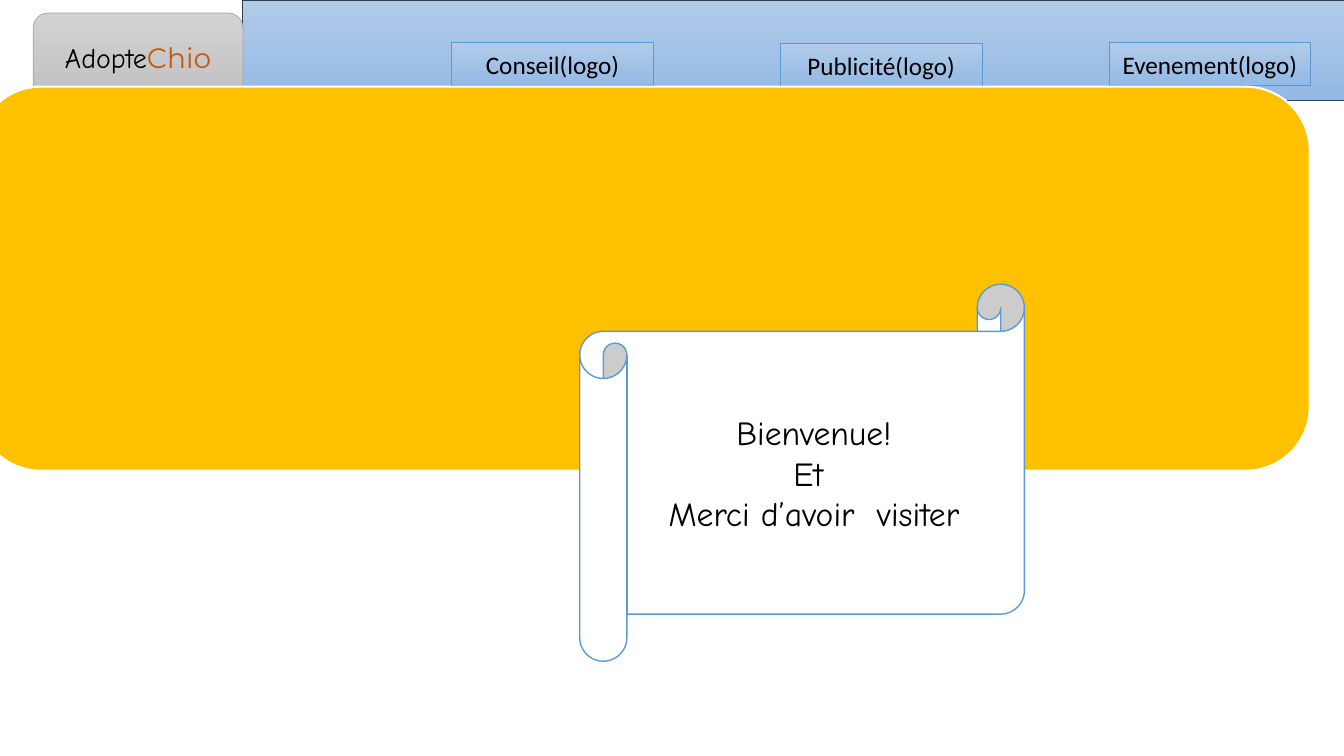
from pptx import Presentation
from pptx.dml.color import RGBColor
from pptx.enum import shapes, text
from pptx.util import Inches, Pt

COLORS = {
    "sky": "B1CBE9", "sky_deep": "93B9E4", "navy": "333F50", "blue": "5B9BD5",
    "silver": "D2D2D2", "silver_deep": "C0C0C0", "grey": "A5A5A5",
    "amber": "FFC000", "white": "FFFFFF", "black": "000000", "rust": "C55A11",
}
SKY = ("sky", "sky_deep")
SILVER = ("silver", "silver_deep")
SHAPE = shapes.MSO_SHAPE


def rgb(name):
    """Return the named colour."""
    return RGBColor.from_string(COLORS[name])


def add_panel(slide, preset, box, fill, outline, width):
    """Add a preset shape with one fill colour or a downward gradient."""
    panel = slide.shapes.add_shape(preset, *map(Inches, box))
    panel.shadow.inherit = False
    if len(fill) == 1:
        panel.fill.solid()
        panel.fill.fore_color.rgb = rgb(fill[0])
    else:
        panel.fill.gradient()
        panel.fill.gradient_angle = 270
        for stop, color in zip(panel.fill.gradient_stops, fill):
            stop.color.rgb = rgb(color)
    panel.line.color.rgb = rgb(outline)
    panel.line.width = Pt(width)
    return panel


def write(panel, lines, size):
    """Write centred lines made of (wording, font, colour) runs."""
    frame = panel.text_frame
    for name, value in {"word_wrap": True, "vertical_anchor": text.MSO_ANCHOR.MIDDLE}.items():
        setattr(frame, name, value)
    for index, line in enumerate(lines):
        paragraph = frame.add_paragraph() if index else frame.paragraphs[0]
        paragraph.alignment = text.PP_ALIGN.CENTER
        for wording, font, color in line:
            run = paragraph.add_run()
            run.text = wording
            for name, value in {"name": font, "size": Pt(size)}.items():
                setattr(run.font, name, value)
            run.font.color.rgb = rgb(color)


def add_menu(slide, box):
    """Draw the menu bar with its evenly spaced entries."""
    left, top, _, _ = box
    add_panel(slide, SHAPE.RECTANGLE, box, SKY, "navy", 0.5)
    entries = [("Conseil(logo)", 0.42), ("Publicité(logo)", 0.43), ("Evenement(logo)", 0.42)]
    for index, (label, drop) in enumerate(entries):
        entry_box = (left + 2.08 + 3.26 * index, top + drop, 2, 0.43)
        entry = add_panel(slide, SHAPE.RECTANGLE, entry_box, SKY, "blue", 0.5)
        write(entry, [[(label, "Calibri", "black")]], 18)


def add_site_name(slide, box):
    """Draw the tab that carries the site name."""
    tab = add_panel(slide, SHAPE.ROUNDED_RECTANGLE, box, SILVER, "grey", 0.5)
    write(tab, [[("Adopte", "Comic Neue", "black"), ("Chio", "Montserrat", "rust")]], 20)


def add_banner(slide, box):
    """Draw the wide rounded banner."""
    add_panel(slide, SHAPE.ROUNDED_RECTANGLE, box, ("amber",), "white", 1.5)


def add_welcome(slide, box):
    """Draw the scroll with the welcome message."""
    scroll = add_panel(slide, SHAPE.HORIZONTAL_SCROLL, box, ("white",), "blue", 1)
    message = ["Bienvenue!", "Et ", "Merci d’avoir  visiter"]
    write(scroll, [[(line, "Comic Neue", "black")] for line in message], 24)


def main():
    """Build and save the welcome slide."""
    deck = Presentation()
    deck.slide_width, deck.slide_height = Inches(13.33), Inches(7.5)
    slide = deck.slides.add_slide(deck.slide_layouts[6])
    add_menu(slide, (2.4, 0, 10.93, 1))
    add_site_name(slide, (0.33, 0.13, 2.08, 0.87))
    add_banner(slide, (-0.23, 0.86, 13.22, 3.81))
    add_welcome(slide, (5.75, 2.82, 4.41, 3.74))
    deck.save("out.pptx")


if __name__ == "__main__":
    main()
